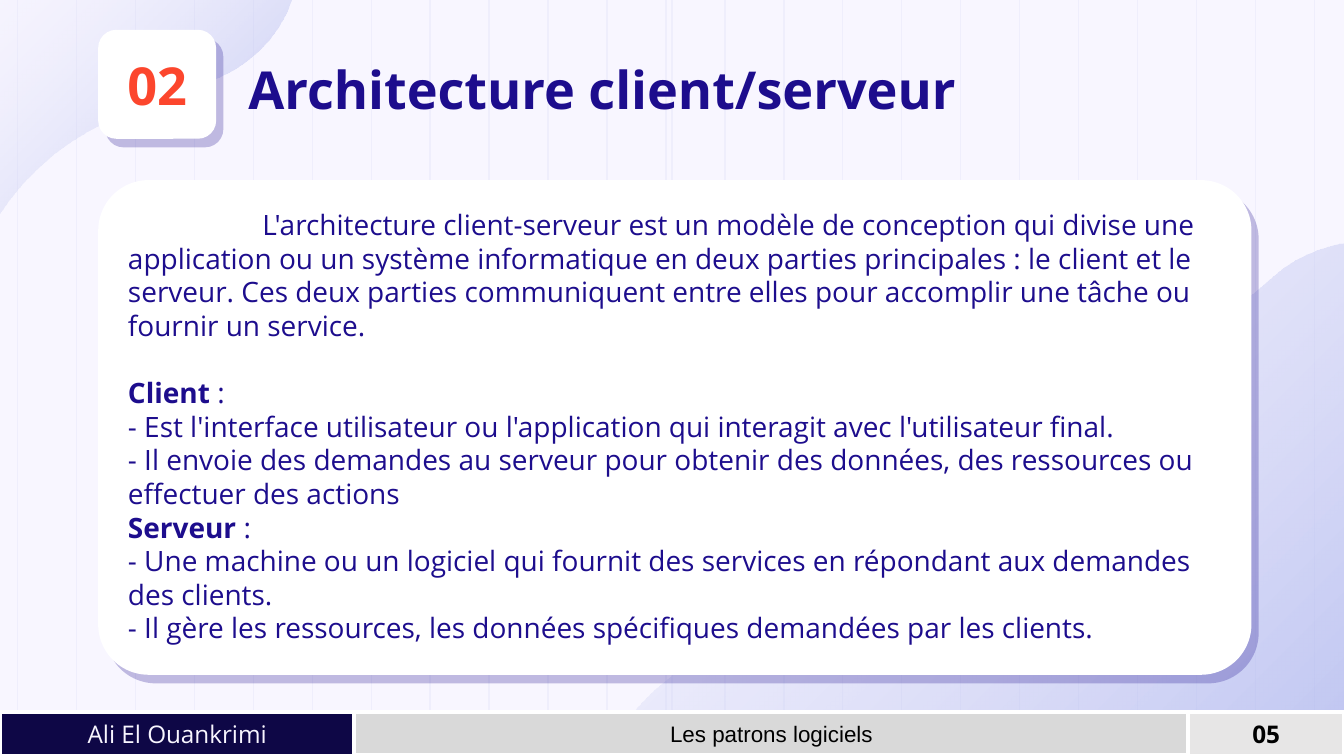
import pptx
import pptx.util
import pptx.dml.color
import pptx.enum.shapes
import pptx.enum.text
import pptx.oxml
import pptx.oxml.ns
from lxml import etree

Pt = pptx.util.Pt
qn = pptx.oxml.ns.qn
SHAPES = pptx.enum.shapes.MSO_SHAPE
ALIGN = pptx.enum.text.PP_ALIGN
ANCHOR = pptx.enum.text.MSO_ANCHOR

WIDTH, HEIGHT = 720, 405
GRID_TOP, GRID_BOTTOM = -20, 425.6
UNITS_PER_POINT = 100
INDIGO, WHITE, BLACK, LILAC, GRID = "1D0D8D", "FFFFFF", "000000", "F8F6FF", "EFEEFC"
SANS, ARIAL = "Open Sans", "Arial"

title = "Architecture client/serveur"
section_number = "02"
intro = ("L'architecture client-serveur est un modèle de conception qui divise une application "
         "ou un système informatique en deux parties principales : le client et le serveur. "
         "Ces deux parties communiquent entre elles pour accomplir une tâche ou fournir un service.")
roles = [
    ("Client", " : ", 18, [
        "- Est l'interface utilisateur ou l'application qui interagit avec l'utilisateur final.",
        "- Il envoie des demandes au serveur pour obtenir des données, des ressources ou effectuer des actions",
    ]),
    ("Serveur ", ": ", 0, [
        "- Une machine ou un logiciel qui fournit des services en répondant aux demandes des clients.",
        "- Il gère les ressources, les données spécifiques demandées par les clients.",
    ]),
]
footer = [
    ("Les patrons logiciels", 189.8, 447, 23, "D9D9D9", (12, ARIAL, BLACK, False)),
    ("Ali El Ouankrimi", 0, 189.8, 23.4, "0E0746", (13, SANS, LILAC, False)),
    ("05", 636.6, 83.4, 23.2, "E7E6E6", (13, SANS, BLACK, True)),
]
cards = [((52.6, 16, 63.2, 58.4), 0.167), ((52.6, 96.5, 617.8, 265), 0.102)]
waves = [
    ((745.2, 129.6), [
        [(723.6, 127.4), (708.5, 131.8), (693.4, 139.7)],
        [(683.3, 145.4), (675.4, 154.8), (666, 161.3)],
        [(640.1, 177.8), (606.2, 169.2), (576, 171.4)],
        [(540, 175), (506.9, 195.8), (487.4, 226.1)],
        [(471.6, 252), (465.8, 283.7), (446.4, 306)],
        [(432.7, 321.1), (414.7, 330.5), (396.7, 339.8)],
        [(379.4, 348.5), (358.6, 360), (344.9, 375.1)],
        [(331.2, 389.5), (320.4, 407.5), (317.5, 429.8)],
        [(724.3, 429.8)],
        [(735.8, 429.8), (745.2, 420.5), (745.2, 409)],
    ]),
    ((157, -7.2), [
        [(154.8, 13.7), (136.8, 32.4), (118.1, 41)],
        [(99.4, 50.4), (78.5, 54.7), (59, 64.1)],
        [(30.2, 77), (7.2, 98.6), (-7.2, 126.7)],
        [(-7.2, 17.3)],
        [(-7.2, 3.6), (3.6, -7.2), (17.3, -7.2)],
    ]),
]
wave_stops = [(0, GRID, 13), (1, "9BA6E9", 69)]

deck = pptx.Presentation()
deck.slide_width, deck.slide_height = Pt(WIDTH), Pt(HEIGHT)
slide = deck.slides.add_slide(deck.slide_layouts[6])


def rgb(value):
    return pptx.dml.color.RGBColor.from_string(value)


def set_fill(owner, value):
    owner.fill.solid()
    owner.fill.fore_color.rgb = rgb(value)


def add_run(paragraph, words, size, face, color, bold):
    run = paragraph.add_run()
    run.text = words
    run.font.size, run.font.name, run.font.bold = Pt(size), face, bold
    run.font.color.rgb = rgb(color)


def add_block(kind, box, color):
    block = slide.shapes.add_shape(kind, *map(Pt, box))
    block.shadow.inherit = False
    set_fill(block, color)
    block.line.fill.background()
    return block


def add_card(box, corner):
    card = add_block(SHAPES.ROUNDED_RECTANGLE, box, WHITE)
    card.adjustments[0] = corner
    effects = card._element.spPr.find(qn("a:effectLst"))
    effects.append(pptx.oxml.parse_xml(
        f'<a:outerShdw {pptx.oxml.ns.nsdecls("a")} blurRad="0" dist="{Pt(6)}" dir="{50 * 60000}" '
        f'algn="bl" rotWithShape="0"><a:srgbClr val="{INDIGO}"><a:alpha val="25000"/></a:srgbClr></a:outerShdw>'))


def add_text(box, anchor=ANCHOR.TOP):
    frame = slide.shapes.add_textbox(*map(Pt, box)).text_frame
    frame.word_wrap = True
    frame.vertical_anchor = anchor
    frame.margin_left = frame.margin_right = frame.margin_top = frame.margin_bottom = Pt(7.2)
    return frame


def add_wave(start, curves):
    def units(point):
        return tuple(round(c * UNITS_PER_POINT) for c in point)

    corners = [units(start)] + [units(curve[-1]) for curve in curves]
    left, top = map(min, zip(*corners))
    builder = slide.shapes.build_freeform(*corners[0], scale=Pt(1) / UNITS_PER_POINT)
    builder.add_line_segments(corners[1:], close=True)
    wave = builder.convert_to_shape()
    segments = list(wave._element.spPr.iter(qn("a:lnTo")))
    for segment, curve in zip(segments, curves):
        if len(curve) == 3:
            bend = etree.SubElement(segment.getparent(), qn("a:cubicBezTo"))
            for x, y in map(units, curve):
                etree.SubElement(bend, qn("a:pt"), x=str(x - left), y=str(y - top))
            segment.getparent().replace(segment, bend)
    wave.shadow.inherit = False
    wave.line.fill.background()
    wave.fill.gradient()
    wave.fill.gradient_angle = 315
    elements = wave._element.spPr.iter(qn("a:gs"))
    for stop, element, (position, color, opacity) in zip(wave.fill.gradient_stops, elements, wave_stops):
        stop.color.rgb = rgb(color)
        stop.position = position
        etree.SubElement(element[0], qn("a:alpha")).set("val", str(opacity * 1000))


set_fill(slide.background, LILAC)

for x in [9.4 + 31.58 * i for i in range(23)] + [WIDTH / 2]:
    grid_line = slide.shapes.add_connector(
        pptx.enum.shapes.MSO_CONNECTOR.STRAIGHT, Pt(x), Pt(GRID_TOP), Pt(x), Pt(GRID_BOTTOM))
    grid_line.line.color.rgb = rgb(GRID)
    grid_line.line.width = Pt(0.75)
    etree.SubElement(grid_line._element.spPr, qn("a:effectLst"))

for start, curves in waves:
    add_wave(start, curves)

heading = add_text((126, 23.4, 441.4, 55.4))
add_run(heading.paragraphs[0], title, 28, SANS, INDIGO, True)

add_card(*cards[0])
badge = add_text((41.4, 14, 85.6, 62.8), ANCHOR.MIDDLE)
badge.paragraphs[0].alignment = ALIGN.CENTER
add_run(badge.paragraphs[0], section_number, 28, SANS, "FC462D", True)

for words, left, width, height, color, style in footer:
    cell = add_block(SHAPES.RECTANGLE, (left, 381.6, width, height), color)
    cell.line.color.rgb = rgb(WHITE)
    cell.line.width = Pt(2)
    cell.text_frame.vertical_anchor = ANCHOR.MIDDLE
    cell.text_frame.paragraphs[0].alignment = ALIGN.CENTER
    add_run(cell.text_frame.paragraphs[0], words, *style)

add_card(*cards[1])
body = add_text((61.5, 104.1, 609, 246.2))
opening = body.paragraphs[0]
opening._p.get_or_add_pPr().set("indent", str(Pt(72)))
add_run(opening, intro, 15, SANS, INDIGO, False)
for role, colon, gap, duties in roles:
    label = body.add_paragraph()
    label.space_before = Pt(gap)
    add_run(label, role, 15, SANS, INDIGO, True)
    add_run(label, colon, 15, SANS, INDIGO, False)
    for duty in duties:
        add_run(body.add_paragraph(), duty, 15, SANS, INDIGO, False)

deck.save("out.pptx")
